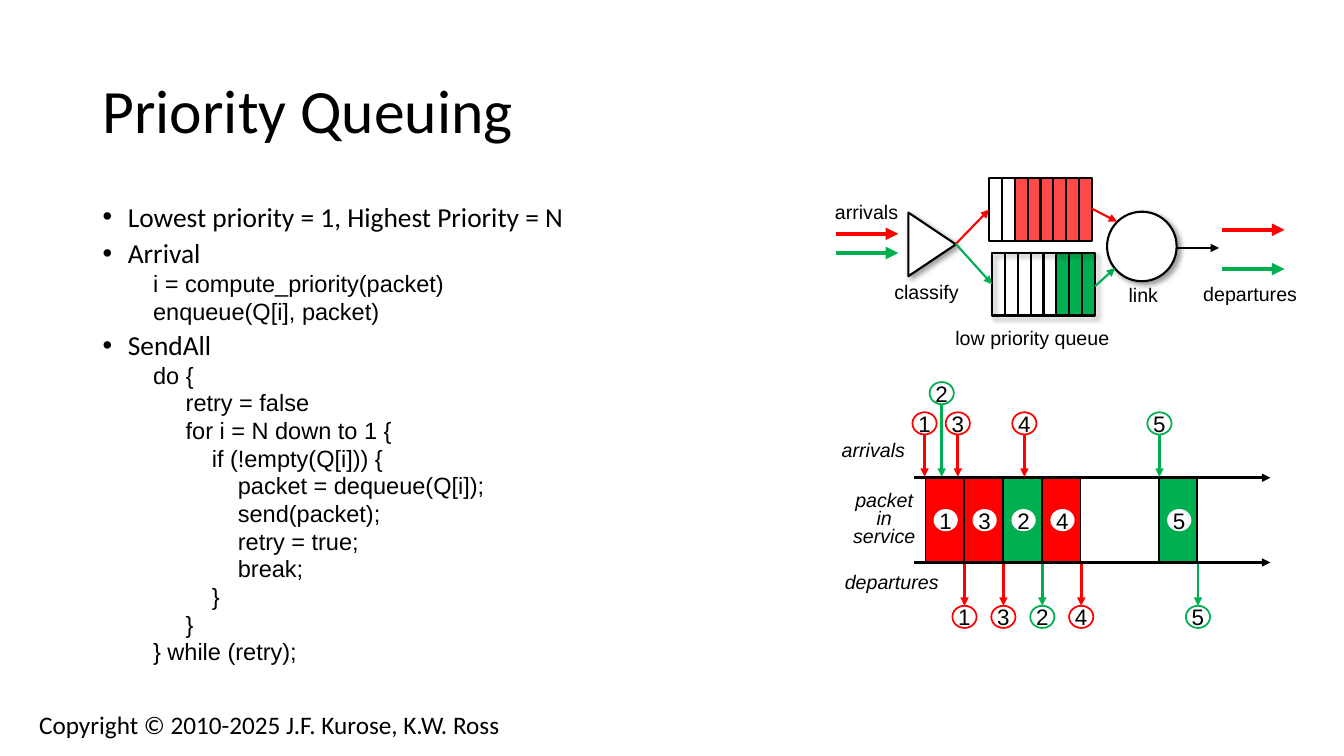
from lxml import etree
from pptx import Presentation
from pptx.dml.color import RGBColor
from pptx.enum.shapes import MSO_CONNECTOR, MSO_SHAPE
from pptx.enum.text import MSO_ANCHOR, PP_ALIGN
from pptx.oxml.ns import qn
from pptx.util import Inches, Pt

RECT, OVAL = MSO_SHAPE.RECTANGLE, MSO_SHAPE.OVAL
TRIANGLE = MSO_SHAPE.ISOSCELES_TRIANGLE
STRAIGHT = MSO_CONNECTOR.STRAIGHT
TOP, MIDDLE = MSO_ANCHOR.TOP, MSO_ANCHOR.MIDDLE
LEFT, CENTER = PP_ALIGN.LEFT, PP_ALIGN.CENTER

COLORS = {"black": "000000", "white": "FFFFFF", "red": "FF0000", "green": "00B050"}

PSEUDOCODE = [
    ("Lowest priority = 1, Highest Priority = N", []),
    ("Arrival", ["i = compute_priority(packet)", "enqueue(Q[i], packet)"]),
    ("SendAll", [
        "do {",
        "     retry = false",
        "     for i = N down to 1 {",
        "         if (!empty(Q[i])) {",
        "             packet = dequeue(Q[i]);",
        "             send(packet);",
        "             retry = true;",
        "             break;",
        "         }",
        "     }",
        "} while (retry);",
    ]),
]

ARRIVALS = [("1", "red", 9.17, 4.2), ("3", "red", 9.5, 4.2), ("4", "red", 10.16, 4.2),
            ("2", "green", 9.34, 3.9), ("5", "green", 11.5, 4.2)]
SERVICE = [("1", "red", 0), ("3", "red", 1), ("2", "green", 2), ("4", "red", 3),
           ("5", "green", 6)]
SERVICE_LEFT, SLOT = 9.18, 0.386
SERVICE_TOP, SERVICE_BOTTOM = 4.74, 5.58


def rgb(name):
    return RGBColor.from_string(COLORS[name])


def format_run(p, size, font, italic=False):
    for r in p.runs:
        r.font.size = Pt(size)
        r.font.name = font
        r.font.italic = italic
        r.font.color.rgb = rgb("black")


def add_text(slide, text, box, size=14, font="Arial", align=CENTER, anchor=TOP,
             italic=False, wrap=False, spacing=None):
    sp = slide.shapes.add_textbox(*map(Inches, box))
    tf = sp.text_frame
    tf.word_wrap = wrap
    tf.vertical_anchor = anchor
    p = tf.paragraphs[0]
    p.text = text
    p.alignment = align
    p.line_spacing = spacing
    format_run(p, size, font, italic)


def add_shape(slide, kind, box, fill=None, line=None, width=1.5):
    sp = slide.shapes.add_shape(kind, *map(Inches, box))
    sp.shadow.inherit = False
    if fill:
        sp.fill.solid()
        sp.fill.fore_color.rgb = rgb(fill)
    else:
        sp.fill.background()
    if line:
        sp.line.color.rgb = rgb(line)
        sp.line.width = Pt(width)
    else:
        sp.line.fill.background()
    return sp


def add_shadow(sp):
    effects = sp._element.spPr.find(qn("a:effectLst"))
    shadow = etree.SubElement(effects, qn("a:outerShdw"), blurRad=str(Pt(4)),
                              dist=str(Pt(3)), dir="2700000", algn="tl", rotWithShape="0")
    color = etree.SubElement(shadow, qn("a:srgbClr"), val=COLORS["black"])
    etree.SubElement(color, qn("a:alpha"), val="40000")


def add_line(slide, start, end, color="black", width=1.5, arrow=True):
    cx = slide.shapes.add_connector(STRAIGHT, *map(Inches, (*start, *end)))
    cx.line.color.rgb = rgb(color)
    cx.line.width = Pt(width)
    if arrow:
        etree.SubElement(cx.line._get_or_add_ln(), qn("a:tailEnd"), type="triangle")
    etree.SubElement(cx._element.spPr, qn("a:effectLst"))


def add_number(slide, number, x, y, line=None):
    sp = add_shape(slide, OVAL, (x - 0.12, y - 0.11, 0.24, 0.22), "white", line, 1.25)
    tf = sp.text_frame
    tf.margin_left = tf.margin_right = tf.margin_top = tf.margin_bottom = 0
    tf.word_wrap = False
    tf.vertical_anchor = MIDDLE
    p = tf.paragraphs[0]
    p.text = number
    p.alignment = CENTER
    format_run(p, 16, "Arial")


def add_pseudocode(slide):
    tf = slide.shapes.add_textbox(*map(Inches, (0.92, 2, 7.02, 4.76))).text_frame
    tf.word_wrap = True
    rows = []
    for heading, code in PSEUDOCODE:
        rows += [(heading, True)] + [(line, False) for line in code]
    for i, (text, bullet) in enumerate(rows):
        p = tf.paragraphs[0] if i == 0 else tf.add_paragraph()
        p.text = text
        p.line_spacing = 0.8
        p.space_before = Pt(0 if i == 0 else 7.2 if bullet else 3.6)
        pPr = p._p.get_or_add_pPr()
        pPr.set("marL", str(Inches(0.25 if bullet else 0.5)))
        pPr.set("indent", str(Inches(-0.25 if bullet else 0)))
        if bullet:
            etree.SubElement(pPr, qn("a:buFont"), typeface="Arial")
            etree.SubElement(pPr, qn("a:buChar"), char="•")
            format_run(p, 19.6, "Calibri")
        else:
            format_run(p, 16.8, "Arial")


def add_queue(slide, left, top, color, empty, opacity=100, shadow=False):
    width, height, cells = 1.02, 0.62, 8
    cell = width / cells
    packets = add_shape(slide, RECT, (left + empty * cell, top, (cells - empty) * cell, height),
                        color)
    clr = packets._element.spPr.find(qn("a:solidFill"))[0]
    etree.SubElement(clr, qn("a:alpha"), val=str(opacity * 1000))
    frame = add_shape(slide, RECT, (left, top, width, height), line="black")
    if shadow:
        add_shadow(frame)
    for i in range(1, cells):
        x = left + i * cell
        add_line(slide, (x, top), (x, top + height), arrow=False)


def add_scheduler(slide):
    add_queue(slide, 9.84, 2.51, "green", 5, shadow=True)
    add_queue(slide, 9.81, 1.77, "red", 2, opacity=71)
    classifier = add_shape(slide, TRIANGLE, (8.93, 2.19, 0.63, 0.47), "white", "black")
    classifier.rotation = 90
    add_shadow(classifier)
    add_shadow(add_shape(slide, OVAL, (10.98, 2.1, 0.69, 0.69), "white", "black"))
    for start, end, color in [((9.48, 2.42), (9.81, 2.08), "red"),
                              ((9.48, 2.42), (9.84, 2.82), "green"),
                              ((10.83, 2.07), (11.08, 2.2), "red"),
                              ((10.86, 2.84), (11.06, 2.66), "green"),
                              ((11.67, 2.46), (12.09, 2.46), "black")]:
        add_line(slide, start, end, color)
    for x, y, color in [(8.29, 2.32, "red"), (8.29, 2.51, "green"),
                        (12.12, 2.28, "red"), (12.12, 2.67, "green")]:
        add_line(slide, (x, y), (x + 0.62, y), color, 3)
    for text, left, top, width in [("low priority queue", 9.37, 3.18, 1.74),
                                   ("arrivals", 8.18, 1.93, 0.83),
                                   ("classify", 8.76, 2.73, 0.86),
                                   ("departures", 11.83, 2.75, 1.14),
                                   ("link", 11.09, 2.76, 0.5)]:
        add_text(slide, text, (left, top, width, 0.34))


def add_timeline(slide):
    for number, color, slot in SERVICE:
        left = SERVICE_LEFT + slot * SLOT
        end = left + SLOT
        add_shape(slide, RECT, (left, SERVICE_TOP, 0.38, 0.83), color, "black", 1.25)
        add_number(slide, number, left + 0.2, 5.16)
        add_number(slide, number, end, 6.12, color)
        add_line(slide, (end, SERVICE_BOTTOM + 0.01), (end, 6.01), color, 2)
    for y in (SERVICE_TOP, SERVICE_BOTTOM):
        add_line(slide, (9.07, y), (12.6, y), width=2)
    for number, color, x, y in ARRIVALS:
        add_number(slide, number, x, y, color)
        add_line(slide, (x, y + 0.11), (x, SERVICE_TOP - 0.01), color, 2)
    add_text(slide, "arrivals", (8.25, 4.3, 0.88, 0.34), align=LEFT, italic=True)
    add_text(slide, "departures", (8.28, 5.61, 1.19, 0.34), align=LEFT, italic=True)
    add_text(slide, "packet in service", (8.3, 4.85, 0.94, 0.65), italic=True, wrap=True,
             spacing=Pt(12.8))


def main():
    prs = Presentation()
    prs.slide_width, prs.slide_height = Inches(13.33), Inches(7.5)
    slide = prs.slides.add_slide(prs.slide_layouts[6])
    add_text(slide, "Priority Queuing", (0.92, 0.4, 11.5, 1.45), 44, "Calibri", LEFT, MIDDLE,
             wrap=True, spacing=0.9)
    add_pseudocode(slide)
    add_scheduler(slide)
    add_timeline(slide)
    add_text(slide, "Copyright © 2010-2025 J.F. Kurose, K.W. Ross", (0.29, 6.99, 4.9, 0.4), 18,
             "Calibri", LEFT, wrap=True)
    prs.save("out.pptx")


if __name__ == "__main__":
    main()
